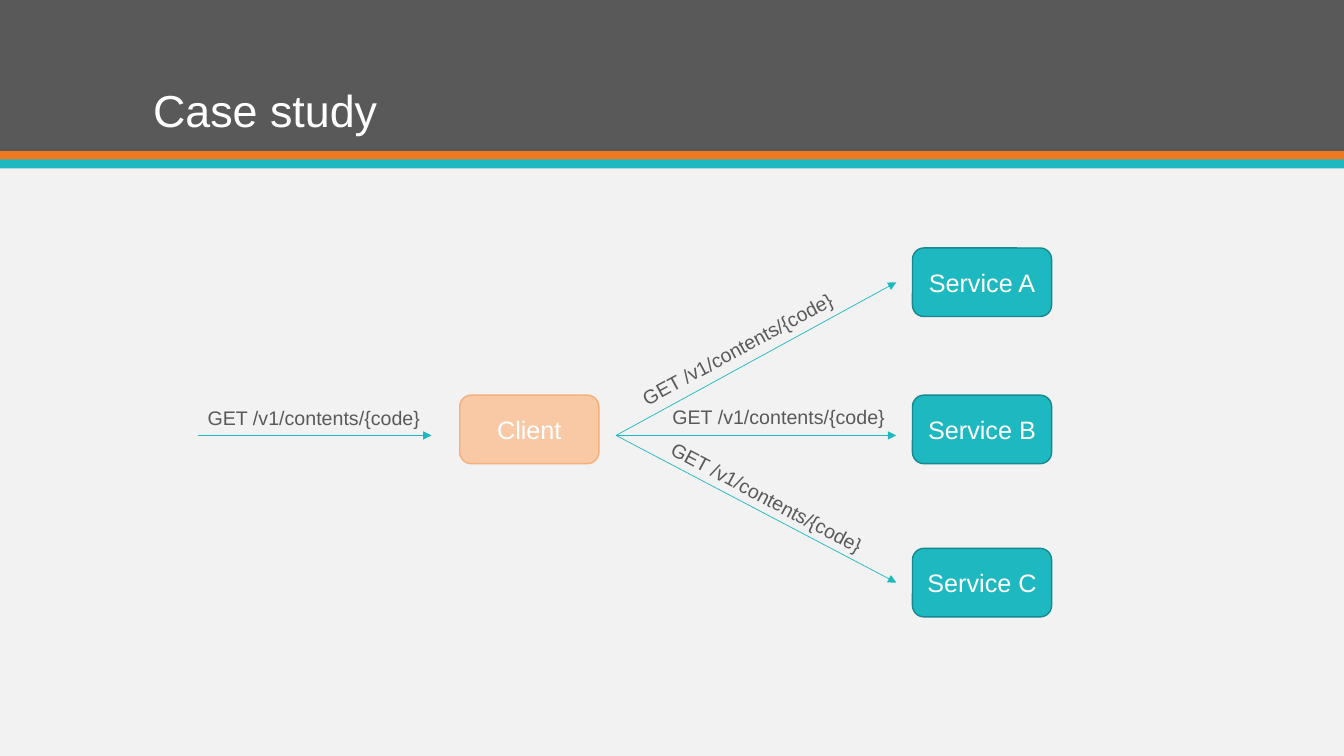
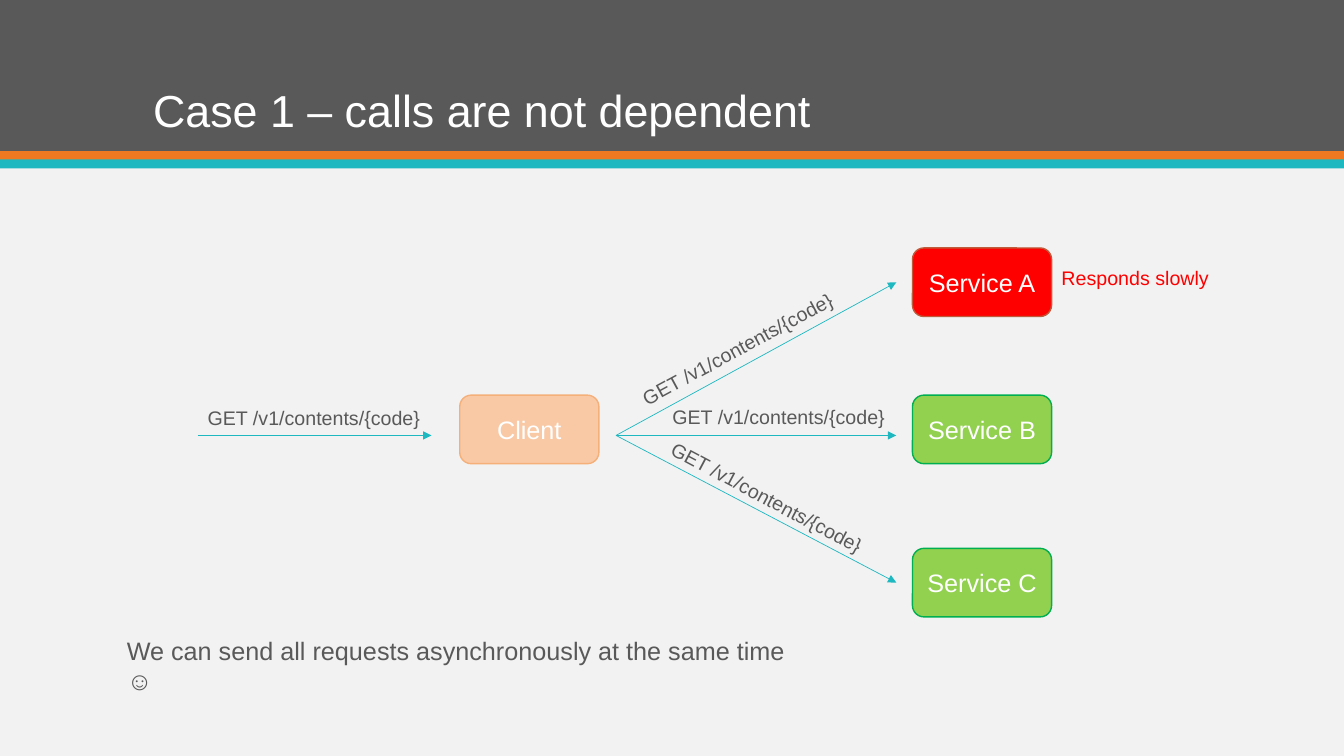
from lxml.etree import SubElement
from pptx import Presentation
from pptx.dml.color import RGBColor
from pptx.enum.shapes import MSO_CONNECTOR, MSO_SHAPE
from pptx.enum.text import MSO_ANCHOR, PP_ALIGN
from pptx.oxml.ns import qn
from pptx.util import Inches, Pt

FONT = "Arial"
WIDTH, HEIGHT = 13.33, 7.5
CALL = "GET /v1/contents/{code}"
COLORS = {
    "back": "F2F2F2", "dark": "595959", "orange": "EF7920", "teal": "1EB8C1",
    "deep": "16888F", "peach": "F9C9A6", "tan": "F5AF79", "white": "FFFFFF",
    "red": "FF0000", "rust": "C05A3A", "lime": "92D050", "green": "00B050",
}
PLAIN = ("teal", "deep")
SLOW = ("red", "rust")
FAST = ("lime", "green")


def color(name):
    """Return the named colour."""
    return RGBColor.from_string(COLORS[name])


def write(frame, text, size, tint):
    """Add one run to the first paragraph and return that paragraph."""
    para = frame.paragraphs[0]
    run = para.add_run()
    run.text = text
    run.font.name = FONT
    run.font.size = Pt(size)
    run.font.color.rgb = color(tint)
    return para


def label(slide, box, text, size=14, tint="dark", wrap=False, angle=0):
    """Add a text box and return it."""
    shape = slide.shapes.add_textbox(*map(Inches, box))
    shape.rotation = angle
    shape.text_frame.word_wrap = wrap
    write(shape.text_frame, text, size, tint)
    return shape


def block(slide, kind, box, fill, edge=None):
    """Add a filled shape, outlined when an edge colour is given."""
    shape = slide.shapes.add_shape(kind, *map(Inches, box))
    shape.shadow.inherit = False
    shape.fill.solid()
    shape.fill.fore_color.rgb = color(fill)
    if edge:
        shape.line.color.rgb = color(edge)
        shape.line.width = Pt(1)
    else:
        shape.line.fill.background()
    return shape


def node(slide, left, top, text, fill, edge):
    """Add a rounded box with a centred name."""
    shape = block(slide, MSO_SHAPE.ROUNDED_RECTANGLE,
                  (left, top, 1.38, 0.68), fill, edge)
    frame = shape.text_frame
    frame.vertical_anchor = MSO_ANCHOR.MIDDLE
    write(frame, text, 18, "white").alignment = PP_ALIGN.CENTER


def arrow(slide, *ends):
    """Add a thin arrow from the first point to the second."""
    line = slide.shapes.add_connector(MSO_CONNECTOR.STRAIGHT, *map(Inches, ends))
    line.line.color.rgb = color("teal")
    line.line.width = Pt(0.5)
    SubElement(line.line._get_or_add_ln(), qn("a:tailEnd"), type="triangle")
    SubElement(line._element.spPr, qn("a:effectLst"))


def header(slide, text):
    """Draw the title band, its two stripes and the title."""
    for top, height, fill in ((0, 1.5, "dark"), (1.5, 0.09, "orange"),
                              (1.58, 0.09, "teal")):
        block(slide, MSO_SHAPE.RECTANGLE, (0, top, WIDTH, height), fill)
    title = label(slide, (1.42, 0.28, 10.5, 1.13), text, 32, "white", True)
    title.text_frame.vertical_anchor = MSO_ANCHOR.BOTTOM
    title.text_frame.paragraphs[0].line_spacing = 0.9


def diagram(slide, left, top, styles):
    """Draw the client and its calls to three services."""
    mid = top + 1.86
    hub, tip = left + 4.15, left + 6.93
    drops = (0, 1.46, 2.98)
    for name, drop, style in zip("ABC", drops, styles):
        node(slide, left + 7.09, top + drop, f"Service {name}", *style)
    node(slide, left + 2.6, top + drops[1], "Client", "peach", "tan")
    for drop in (0.34, 1.86, 3.32):
        arrow(slide, hub, mid, tip, top + drop)
    arrow(slide, left, mid, left + 2.32, mid)
    for over, down, angle in ((0, 1.52, 0), (4.2, 0.83, -28.4),
                              (4.61, 1.51, 0), (4.49, 2.31, 28)):
        label(slide, (left + over, top + down, 2.32, 0.34), CALL, angle=angle)


def study(deck, title, styles):
    """Add a slide with a header and the call diagram."""
    slide = deck.slides.add_slide(deck.slide_layouts[6])
    slide.background.fill.solid()
    slide.background.fill.fore_color.rgb = color("back")
    header(slide, title)
    diagram(slide, 1.96, 2.46, styles)
    return slide


def main():
    """Build and save the deck."""
    deck = Presentation()
    deck.slide_width, deck.slide_height = Inches(WIDTH), Inches(HEIGHT)
    study(deck, "Case study", (PLAIN, PLAIN, PLAIN))
    slide = study(deck, "Case 1 – calls are not dependent", (SLOW, FAST, FAST))
    label(slide, (10.43, 2.59, 1.67, 0.34), "Responds slowly", tint="red")
    label(slide, (1.16, 6.25, 6.8, 0.4),
          "We can send all requests asynchronously at the same time ☺",
          18, wrap=True)
    deck.save("out.pptx")


if __name__ == "__main__":
    main()
